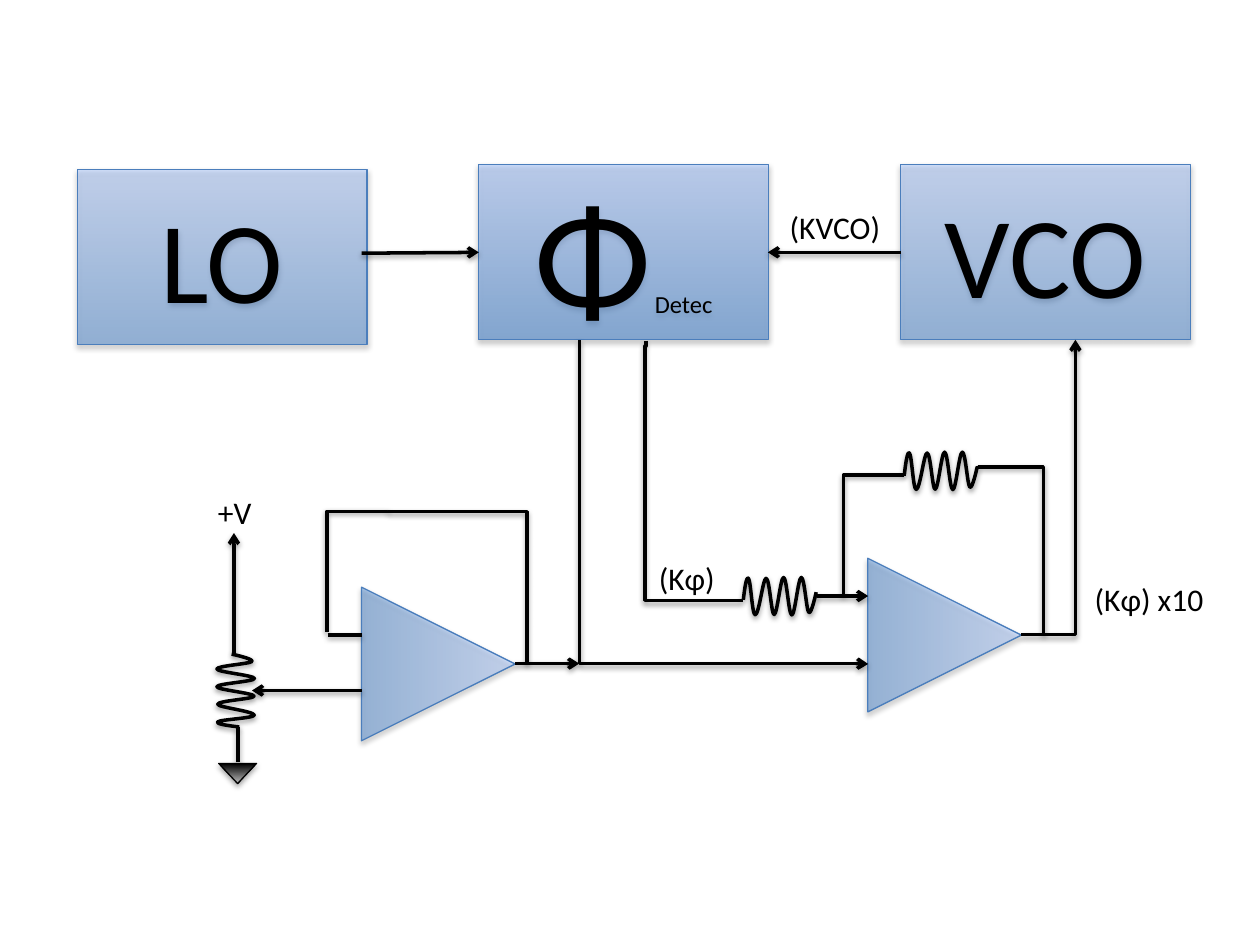
from dataclasses import dataclass
from typing import NamedTuple

from lxml.etree import SubElement
from pptx import Presentation
from pptx.dml.color import RGBColor as Rgb
from pptx.enum.shapes import MSO_CONNECTOR as Link, MSO_SHAPE as Preset
from pptx.enum.text import MSO_ANCHOR as Anchor, MSO_AUTO_SIZE as Fit, PP_ALIGN as Align
from pptx.oxml.ns import qn
from pptx.util import Pt


@dataclass(frozen=True)
class Theme:
    font: str = "Calibri"
    ink: str = "000000"
    edge: str = "4B7EBC"
    blue: tuple[str, str] = ("3F80CE", "A4C4FF")
    grey: tuple[str, str] = ("000000", "BDBDBD")
    block_size: float = 66
    phase_size: float = 88
    gap_size: float = 10
    note_size: float = 14
    label_size: float = 18
    wire: float = 2
    outline: float = 0.75


class Shadow(NamedTuple):
    opacity: int
    blur: float
    distance: float


class Block(NamedTuple):
    left: float
    top: float
    opacity: int
    runs: list[tuple[str, float]]


class Triangle(NamedTuple):
    left: float
    top: float
    width: float
    height: float
    rotation: float
    flip: str
    colors: tuple[str, str]
    opacity: int
    edge: str


class Wire(NamedTuple):
    start: tuple[float, float]
    end: tuple[float, float]
    arrow: bool = True


class Elbow(NamedTuple):
    """A bent wire: its frame before rotation, and the bends as shares of the frame."""
    left: float
    top: float
    width: float
    height: float
    rotation: int
    flip: str
    bends: tuple[float, ...] = ()
    arrow: bool = False


class Coil(NamedTuple):
    left: float
    top: float
    rotation: float = 0


class Label(NamedTuple):
    text: str
    left: float
    top: float
    width: float


THEME = Theme()
SHAPE_SHADOW = Shadow(35, 3.1, 1.8)
WIRE_SHADOW = Shadow(38, 3.1, 1.6)
BLOCK_SIZE = (165.6, 100.1)
AMP_SIDE = 87.8
LABEL_HEIGHT = 28.8

BLOCKS = [
    Block(514.6, 94, 45, [("VCO", THEME.block_size)]),
    Block(273.4, 94, 53, [("Φ", THEME.phase_size), (" ", THEME.gap_size),
                          ("Detec", THEME.note_size)]),
    Block(44.2, 96.8, 45, [("LO", THEME.block_size)]),
]
TRIANGLES = [
    Triangle(206.6, 335.5, AMP_SIDE, AMP_SIDE, 90, "H", THEME.blue, 44, THEME.edge),
    Triangle(495.9, 319, AMP_SIDE, AMP_SIDE, 90, "H", THEME.blue, 44, THEME.edge),
    Triangle(125, 436.3, 21.6, 11.5, 0, "V", THEME.grey, 100, THEME.ink),
]
ELBOWS = [
    Elbow(322.6, 241.2, 148.3, 55.4, 270, "H", (0.021, -0.008)),
    Elbow(583.7, 194.2, 30.8, 168.5, 0, "V", arrow=True),
    Elbow(465.1, 288.7, 68.4, 34.6, 90, "HV", (1.007,)),
    Elbow(529.2, 295.9, 96.5, 37.4, 270, "V", (0.995,)),
    Elbow(321.1, 204.5, 185, 164.9, 270, "H", (0.999,), True),
    Elbow(169.9, 309.6, 68.4, 34.6, 90, "HV", (1.007,)),
    Elbow(218.2, 296.6, 86.4, 79.2, 270, "V", (1.006,)),
]
WIRES = [
    Wire((514.6, 144.2), (438.8, 144.2)),
    Wire((466.6, 340.6), (496.1, 340.6)),
    Wire((294.5, 379.2), (331, 379.2)),
    Wire((187.2, 362.9), (206.6, 362.9), False),
    Wire((133.7, 373.7), (133.7, 304.6)),
    Wire((206.6, 394.6), (144, 394.6)),
    Wire((136, 435.6), (136, 415.4), False),
    Wire((206.6, 144.7), (273.6, 144.2)),
]
COILS = [Coil(516.8, 258.2), Coil(424.8, 329.8), Coil(113.8, 383.8, 270)]
COIL_SIZE = (41.6, 21.6)
COIL_START = (0, 13)
COIL_CURVES = [
    ((0.7, 6.5), (1.8, -0.7), (2.9, 0.7)),
    ((4.3, 2.2), (5, 21.6), (6.8, 21.5)),
    ((9, 21.4), (11.2, 0.7), (13, 0.7)),
    ((15, 0.7), (16, 21.6), (17.6, 21.4)),
    ((19.4, 21.2), (21.2, 0.2), (23, 0.2)),
    ((24.8, 0.2), (25.9, 21.6), (27.7, 21.6)),
    ((29.5, 21.6), (31.3, 0.4), (33.1, 0.2)),
    ((34.9, 0), (36, 18.7), (37.4, 20.2)),
    ((38.9, 21.6), (41.6, 8.6), (41.6, 8.6)),
]
LABELS = [
    Label("+V", 117.4, 278.2, 51.1),
    Label("(Kφ)", 369.4, 316.1, 61.9),
    Label("(Kφ) x10", 618.5, 328, 93.6),
    Label("(KVCO)", 444.2, 115.2, 92.9),
]


def apply(target, formats: dict) -> None:
    for name, value in formats.items():
        setattr(target, name, value)


def set_line(shape, color: str, width: float) -> None:
    shape.line.color.rgb = Rgb.from_string(color)
    shape.line.width = Pt(width)


def set_shadow(shape, shadow: Shadow) -> None:
    """Call after the fill and line are set, as effects follow them in the XML."""
    effects = SubElement(shape._element.spPr, qn("a:effectLst"))
    outer = SubElement(effects, qn("a:outerShdw"), blurRad=str(Pt(shadow.blur)),
                       dist=str(Pt(shadow.distance)), dir="5400000", rotWithShape="0")
    color = SubElement(outer, qn("a:srgbClr"), val=THEME.ink)
    SubElement(color, qn("a:alpha"), val=str(shadow.opacity * 1000))


def set_gradient(shape, colors: tuple[str, str], opacity: int) -> None:
    shape.fill.gradient()
    shape.fill.gradient_angle = 90
    for stop, color, position in zip(shape.fill.gradient_stops, colors, (0, 1)):
        stop.color.rgb = Rgb.from_string(color)
        stop.position = position
    for color in shape._element.spPr.find(qn("a:gradFill")).iter(qn("a:srgbClr")):
        SubElement(color, qn("a:alpha"), val=str(opacity * 1000))


def set_flip(shape, flip: str) -> None:
    for axis in flip:
        shape._element.spPr.find(qn("a:xfrm")).set(f"flip{axis}", "1")


def add_runs(para, runs: list[tuple[str, float]]) -> None:
    for text, size in runs:
        span = para.add_run()
        span.text = text
        apply(span.font, {"name": THEME.font, "size": Pt(size)})
        span.font.color.rgb = Rgb.from_string(THEME.ink)


def add_block(page, block: Block) -> None:
    box = page.shapes.add_shape(Preset.RECTANGLE, Pt(block.left), Pt(block.top),
                                *map(Pt, BLOCK_SIZE))
    set_gradient(box, THEME.blue, block.opacity)
    set_line(box, THEME.edge, THEME.outline)
    set_shadow(box, SHAPE_SHADOW)
    apply(box.text_frame, {"word_wrap": True, "vertical_anchor": Anchor.MIDDLE})
    para = box.text_frame.paragraphs[0]
    para.alignment = Align.CENTER
    add_runs(para, block.runs)


def add_triangle(page, triangle: Triangle) -> None:
    shape = page.shapes.add_shape(Preset.ISOSCELES_TRIANGLE, *map(Pt, triangle[:4]))
    shape.rotation = triangle.rotation
    set_flip(shape, triangle.flip)
    set_gradient(shape, triangle.colors, triangle.opacity)
    set_line(shape, triangle.edge, THEME.outline)
    set_shadow(shape, SHAPE_SHADOW)


def finish_wire(connector, arrow: bool) -> None:
    set_line(connector, THEME.ink, THEME.wire)
    if arrow:
        SubElement(connector._element.spPr.find(qn("a:ln")), qn("a:tailEnd"), type="arrow")
    set_shadow(connector, WIRE_SHADOW)


def add_wire(page, wire: Wire) -> None:
    connector = page.shapes.add_connector(Link.STRAIGHT, *map(Pt, wire.start + wire.end))
    finish_wire(connector, wire.arrow)


def add_elbow(page, elbow: Elbow) -> None:
    left, top, width, height = elbow[:4]
    connector = page.shapes.add_connector(
        Link.ELBOW, *map(Pt, (left, top, left + width, top + height)))
    properties = connector._element.spPr
    properties.find(qn("a:xfrm")).set("rot", str(elbow.rotation * 60000))
    set_flip(connector, elbow.flip)
    geometry = properties.find(qn("a:prstGeom"))
    geometry.set("prst", f"bentConnector{len(elbow.bends) + 2}")
    guides = geometry.find(qn("a:avLst"))
    for number, bend in enumerate(elbow.bends, 1):
        SubElement(guides, qn("a:gd"), name=f"adj{number}", fmla=f"val {round(bend * 100000)}")
    finish_wire(connector, elbow.arrow)


def add_coil(page, coil: Coil) -> None:
    """Build a freeform of the coil's size, then give its outline real curves."""
    width, height = map(Pt, COIL_SIZE)
    builder = page.shapes.build_freeform(0, 0)
    builder.add_line_segments([(width, height)], close=False)
    shape = builder.convert_to_shape(Pt(coil.left), Pt(coil.top))
    shape.rotation = coil.rotation
    outline = next(shape._element.spPr.iter(qn("a:path")))
    for segment in list(outline):
        outline.remove(segment)
    steps = [("a:moveTo", (COIL_START,))] + [("a:cubicBezTo", curve) for curve in COIL_CURVES]
    for tag, points in steps:
        segment = SubElement(outline, qn(tag))
        for x, y in points:
            SubElement(segment, qn("a:pt"), x=str(Pt(x)), y=str(Pt(y)))
    shape.fill.background()
    set_line(shape, THEME.ink, THEME.wire)
    set_shadow(shape, WIRE_SHADOW)


def add_label(page, label: Label) -> None:
    box = page.shapes.add_textbox(*map(Pt, (label.left, label.top, label.width, LABEL_HEIGHT)))
    apply(box.text_frame, {"word_wrap": True, "auto_size": Fit.SHAPE_TO_FIT_TEXT})
    add_runs(box.text_frame.paragraphs[0], [(label.text, THEME.label_size)])


def main() -> None:
    deck = Presentation()
    apply(deck, {"slide_width": Pt(720), "slide_height": Pt(540)})
    page = deck.slides.add_slide(deck.slide_layouts.get_by_name("Blank"))
    for draw, items in ((add_block, BLOCKS), (add_triangle, TRIANGLES), (add_elbow, ELBOWS),
                        (add_wire, WIRES), (add_coil, COILS), (add_label, LABELS)):
        for item in items:
            draw(page, item)
    deck.save("out.pptx")


if __name__ == "__main__":
    main()
